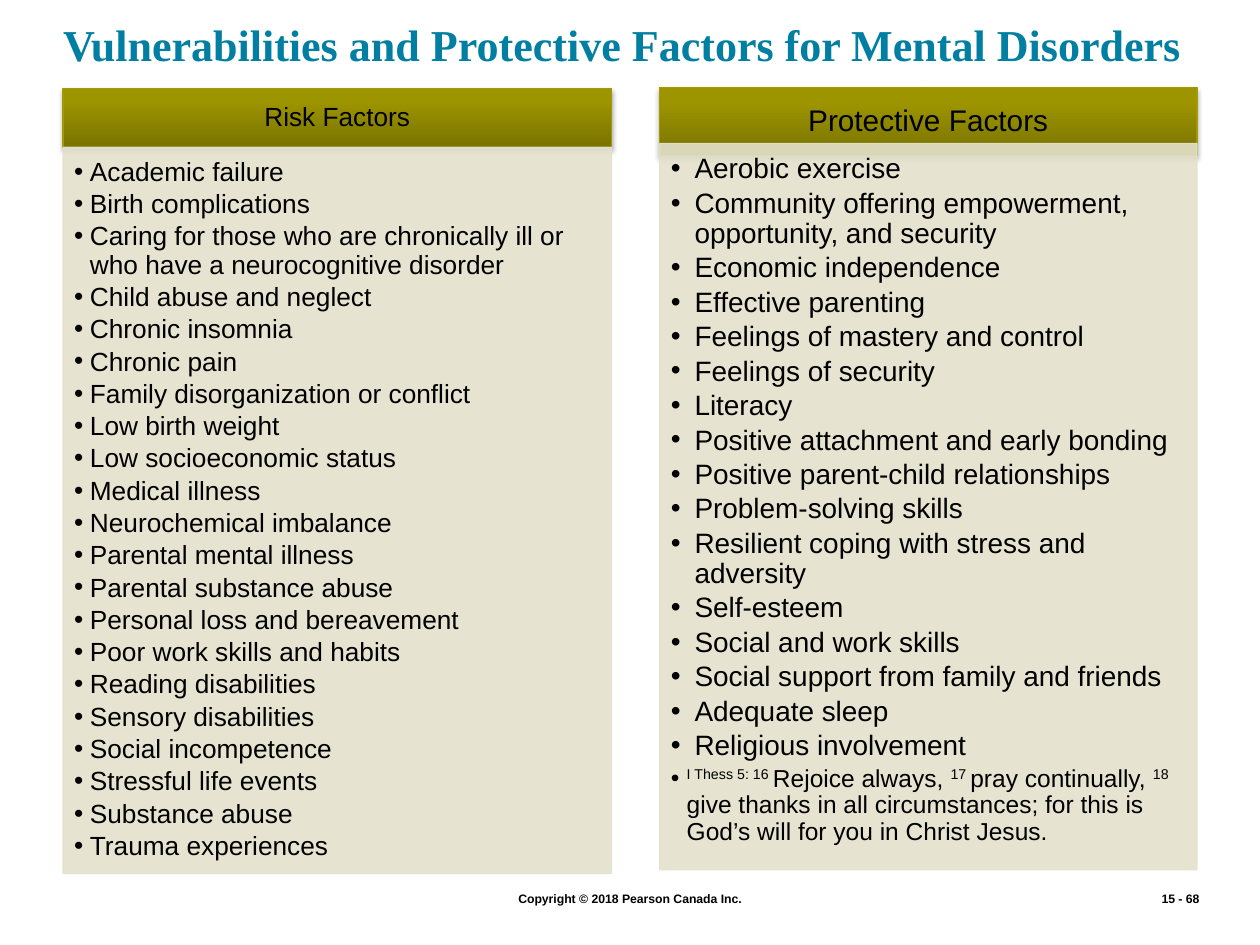
from lxml.etree import SubElement
from pptx import Presentation
from pptx.dml.color import RGBColor
from pptx.enum.shapes import MSO_SHAPE as Shape
from pptx.enum.text import MSO_ANCHOR as Anchor, MSO_AUTO_SIZE as AutoSize, PP_ALIGN as Align
from pptx.oxml.ns import qn
from pptx.util import Pt

COLOURS = {
    "title": "007FA3",
    "text": "000000",
    "shadow": "000000",
    "header_dark": "797300",
    "header_mid": "9D9500",
    "header_light": "9D9600",
    "header_line": "A29A00",
    "body": "E4E2CC",
}

RISKS = [
    "Academic failure",
    "Birth complications",
    "Caring for those who are chronically ill or who have a neurocognitive disorder",
    "Child abuse and neglect",
    "Chronic insomnia",
    "Chronic pain",
    "Family disorganization or conflict",
    "Low birth weight",
    "Low socioeconomic status",
    "Medical illness",
    "Neurochemical imbalance",
    "Parental mental illness",
    "Parental substance abuse",
    "Personal loss and bereavement",
    "Poor work skills and habits",
    "Reading disabilities",
    "Sensory disabilities",
    "Social incompetence",
    "Stressful life events",
    "Substance abuse",
    "Trauma experiences",
]

PROTECTIONS = [
    "Aerobic exercise",
    "Community offering empowerment, opportunity, and security",
    "Economic independence",
    "Effective parenting",
    "Feelings of mastery and control",
    "Feelings of security",
    "Literacy",
    "Positive attachment and early bonding",
    "Positive parent-child relationships",
    "Problem-solving skills",
    "Resilient coping with stress and adversity",
    "Self-esteem",
    "Social and work skills",
    "Social support from family and friends",
    "Adequate sleep",
    "Religious involvement",
]

# Verse numbers are raised and alternate with the verse text
VERSE = [
    "I Thess 5: 16 ", "Rejoice always, ",
    "17 ", "pray continually, ",
    "18 ", "give thanks in all circumstances; for this is God’s will for you in Christ Jesus.",
]


def rgb(name):
    return RGBColor.from_string(COLOURS[name])


def add_node(parent, tag, **attributes):
    return SubElement(parent, qn(tag), {key: str(value) for key, value in attributes.items()})


def add_colour(parent, name, alpha=None):
    colour = add_node(parent, "a:srgbClr", val=COLOURS[name])
    if alpha:
        add_node(colour, "a:alpha", val=alpha * 1000)


def write(para, text, *, size, font="Arial", colour="text", bold=False, align=Align.LEFT,
          line_spacing=None, after=None, indent=None, raised=False):
    """Add one span to a paragraph; after is a percentage, indent hangs a bullet."""
    props = para._p.get_or_add_pPr()
    if after:
        add_node(add_node(props, "a:spcAft"), "a:spcPct", val=after * 1000)
    if indent:
        props.set("marL", str(Pt(indent)))
        props.set("indent", str(-Pt(indent)))
        add_node(props, "a:buFont", typeface="Arial")
        add_node(props, "a:buChar", char="•")
        para.level = 1
    para.alignment = align
    if line_spacing:
        para.line_spacing = line_spacing
    span = para.add_run()
    span.text = text
    span.font.name, span.font.size, span.font.bold = font, Pt(size), bold
    span.font.color.rgb = rgb(colour)
    if raised:
        span._r.get_or_add_rPr().set("baseline", "30000")


def set_frame(shape, insets, anchor):
    frame = shape.text_frame
    frame.word_wrap = True
    frame.auto_size = AutoSize.NONE
    frame.vertical_anchor = anchor
    frame.margin_left, frame.margin_top, frame.margin_right, frame.margin_bottom = map(Pt, insets)
    return frame


def add_title(page, text):
    title = page.shapes.title
    title.left, title.top, title.width, title.height = Pt(36), Pt(0), Pt(648), Pt(40.3)
    frame = set_frame(title, (0, 0, 0, 0), Anchor.BOTTOM)
    write(frame.paragraphs[0], text, size=25.2, font="Times New Roman", colour="title", bold=True)


def add_panel(page, left, top, width, height, line_colour):
    panel = page.shapes.add_shape(Shape.RECTANGLE, Pt(left), Pt(top), Pt(width), Pt(height))
    panel.shadow.inherit = False
    panel.line.color.rgb = rgb(line_colour)
    panel.line.width = Pt(0.75)
    return panel


def add_header(page, text, left, top, width, height, size):
    panel = add_panel(page, left, top, width, height, "header_line")
    # Gradient runs upwards from dark to light
    panel.fill.gradient()
    gradient = panel._element.spPr.find(qn("a:gradFill"))
    for child in list(gradient):
        gradient.remove(child)
    stops = add_node(gradient, "a:gsLst")
    for position, name in ((0, "header_dark"), (80, "header_mid"), (100, "header_light")):
        add_colour(add_node(stops, "a:gs", pos=position * 1000), name)
    add_node(gradient, "a:lin", ang=270 * 60000, scaled=0)
    # Soft shadow below
    effects = panel._element.spPr.find(qn("a:effectLst"))
    shadow = add_node(effects, "a:outerShdw", blurRad=Pt(3.1), dist=Pt(1.8),
                      dir=90 * 60000, rotWithShape=0)
    add_colour(shadow, "shadow", 35)
    frame = set_frame(panel, (9, 5.5, 9, 5.5), Anchor.MIDDLE)
    write(frame.paragraphs[0], text, size=size, align=Align.CENTER, line_spacing=0.9, after=35)


def add_list(page, items, left, top, width, height, size, indent):
    panel = add_panel(page, left, top, width, height, "body")
    panel.fill.solid()
    panel.fill.fore_color.rgb = rgb("body")
    for colour in panel._element.spPr.iter(qn("a:srgbClr")):
        add_node(colour, "a:alpha", val=90000)
    frame = set_frame(panel, (6.4, 6.4, 8.5, 9.6), Anchor.TOP)
    for index, item in enumerate(items):
        para = frame.paragraphs[0] if index == 0 else frame.add_paragraph()
        write(para, item, size=size, indent=indent, line_spacing=0.9, after=15)
    return frame


def add_verse(frame):
    para = frame.add_paragraph()
    for index, text in enumerate(VERSE):
        first = index == 0
        write(para, text, size=14, raised=index % 2 == 0, line_spacing=0.9,
              after=15 if first else None, indent=9 if first else None)


def add_footer(page, text, left, width, align):
    box = page.shapes.add_textbox(Pt(left), Pt(506), Pt(width), Pt(16))
    frame = set_frame(box, (7.2, 3.6, 7.2, 3.6), Anchor.TOP)
    write(frame.paragraphs[0], text, size=7, bold=True, align=align)


def main():
    deck = Presentation()
    deck.slide_width, deck.slide_height = Pt(720), Pt(540)
    page = deck.slides.add_slide(deck.slide_layouts[5])

    add_footer(page, "Copyright © 2018 Pearson Canada Inc.", 78, 564, Align.CENTER)
    add_footer(page, "15 - 68", 620.5, 72, Align.RIGHT)
    add_title(page, "Vulnerabilities and Protective Factors for Mental Disorders")

    # Left column
    add_header(page, "Risk Factors", 36, 50.4, 313.5, 33.8, size=15)
    add_list(page, RISKS, 36, 84.2, 313.5, 415, size=15, indent=9)

    # Right column
    add_header(page, "Protective Factors", 377, 50, 307, 39, size=17)
    frame = add_list(page, PROTECTIONS, 377, 82, 307, 415, size=16, indent=13.5)
    add_verse(frame)

    deck.save("out.pptx")


if __name__ == "__main__":
    main()
